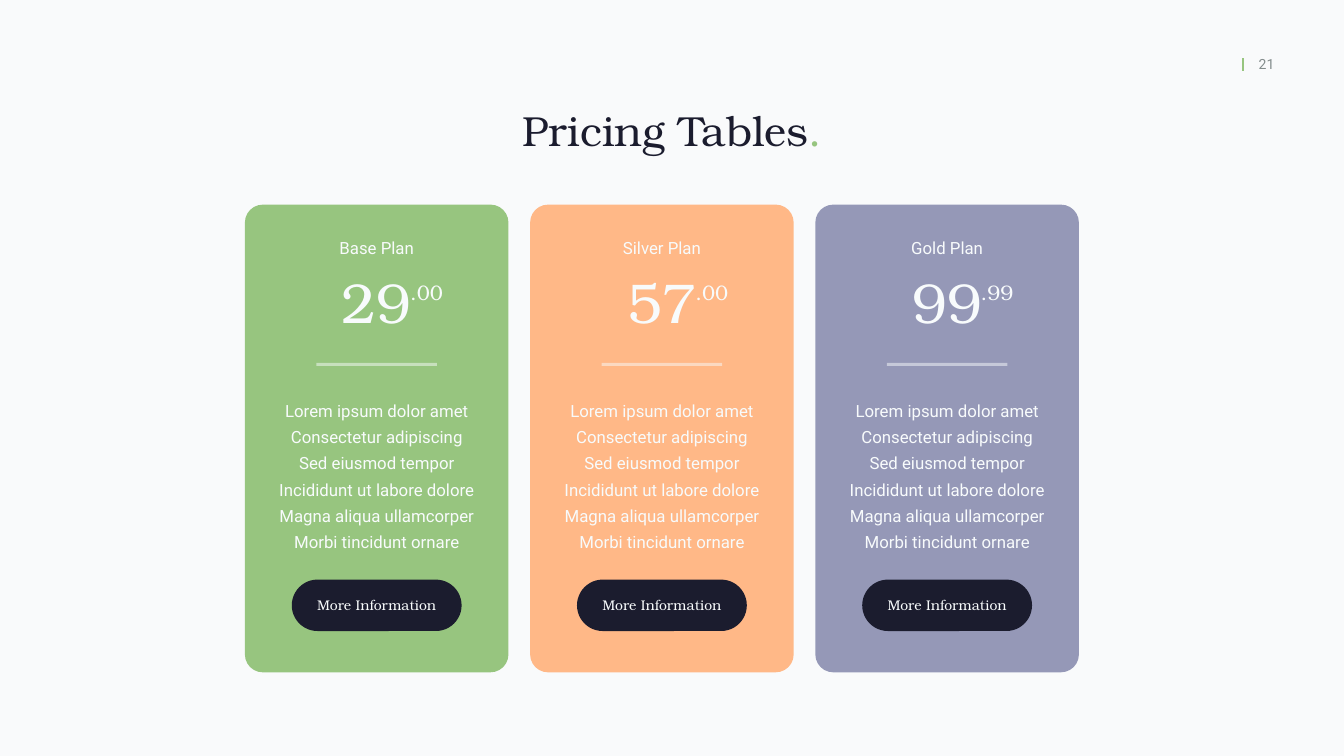
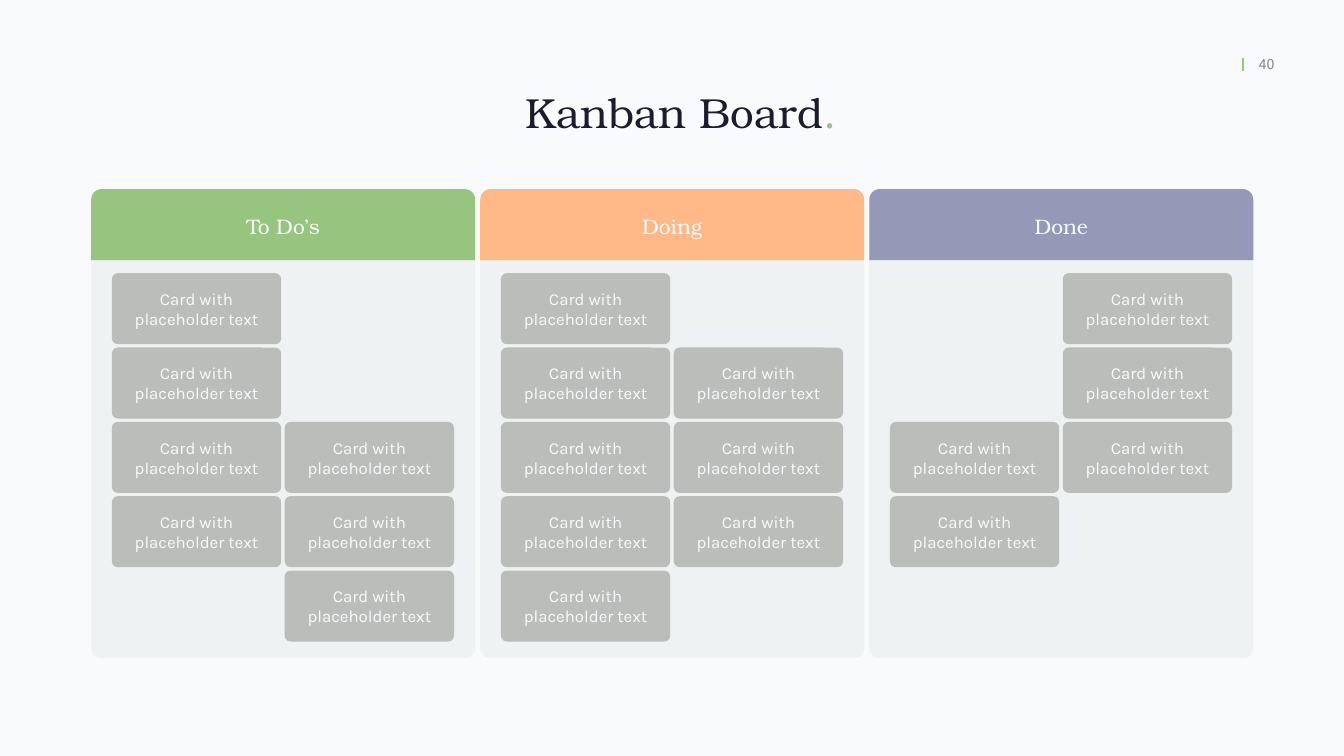
from lxml import etree
from pptx import Presentation
from pptx.dml.color import RGBColor
from pptx.enum.shapes import MSO_CONNECTOR as Connector, MSO_SHAPE as Shape
from pptx.enum.text import MSO_ANCHOR as Anchor, PP_ALIGN as Align
from pptx.oxml.ns import qn
from pptx.util import Inches, Pt

# Shared colours and fonts
PAPER = RGBColor(0xF9, 0xFA, 0xFB)
WHITE = RGBColor(0xF8, 0xFB, 0xFC)
NAVY = RGBColor(0x1B, 0x1C, 0x2E)
GREEN = RGBColor(0x97, 0xC5, 0x7F)
ORANGE = RGBColor(0xFF, 0xB8, 0x87)
VIOLET = RGBColor(0x95, 0x98, 0xB7)
PANEL = RGBColor(0xEE, 0xF2, 0xF3)
CARD = RGBColor(0xBA, 0xBD, 0xBA)
NUMBER_GREY = RGBColor(0x83, 0x8C, 0x8C)
SERIF, SANS, CARD_FONT = "TeX Gyre Bonum", "Roboto", "Karla"
INSET = 0.06

# Content
PLANS = [
    ("Base Plan", "29", ".00", GREEN),
    ("Silver Plan", "57", ".00", ORANGE),
    ("Gold Plan", "99", ".99", VIOLET),
]
FEATURES = [
    "Lorem ipsum dolor amet",
    "Consectetur adipiscing",
    "Sed eiusmod tempor",
    "Incididunt ut labore dolore",
    "Magna aliqua ullamcorper",
    "Morbi tincidunt ornare",
]
BUTTON_TEXT = "More Information"

# Each string is one row of a column; X marks a card
BOARD = [
    ("To Do’s", GREEN, ["X.", "X.", "XX", "XX", ".X"]),
    ("Doing", ORANGE, ["X.", "XX", "XX", "XX", "X."]),
    ("Done", VIOLET, [".X", ".X", "XX", "X."]),
]
CARD_TEXT = "Card with placeholder text"

# Layout in inches
PLAN_LEFT, PLAN_TOP, PLAN_WIDTH, PLAN_HEIGHT, PLAN_PITCH = 4.86, 4.06, 5.23, 9.28, 5.66
BOARD_LEFT, BOARD_TOP, COLUMN_WIDTH, COLUMN_HEIGHT, COLUMN_PITCH = 1.81, 3.75, 7.62, 9.31, 7.72
CARD_MARGIN, CARD_TOP, CARD_WIDTH, CARD_HEIGHT = 0.41, 5.42, 3.36, 1.41
CARD_PITCH_X, CARD_PITCH_Y = 3.43, 5.9 / 4


def style_font(font, size, name, color):
    font.size, font.name = Pt(size), name
    font.color.rgb = color


def add_text(page, area, lines, size, name, color, align=Align.CENTER,
             spacing=None, inset=INSET, dot=None):
    """Write one paragraph per line; dot is the colour of a closing full stop."""
    frame = page.shapes.add_textbox(*map(Inches, area)).text_frame
    frame.word_wrap = True
    frame.margin_left = frame.margin_right = Inches(inset)
    frame.margin_top = frame.margin_bottom = Inches(INSET)
    frame.text = "\n".join(lines)
    for para in frame.paragraphs:
        para.alignment = align
        if spacing:
            para.line_spacing = spacing
        for span in para.runs:
            style_font(span.font, size, name, color)
    if dot is not None:
        span = frame.paragraphs[-1].add_run()
        span.text = "."
        style_font(span.font, size, name, dot)


def add_block(page, kind, area, corner, fill, text="", size=20, name=SERIF, inset=0.1):
    block = page.shapes.add_shape(kind, *map(Inches, area))
    block.adjustments[0] = corner
    block.shadow.inherit = False
    block.fill.solid()
    block.fill.fore_color.rgb = fill
    block.line.fill.background()
    if text:
        frame = block.text_frame
        frame.text = text
        frame.word_wrap = True
        frame.vertical_anchor = Anchor.MIDDLE
        frame.margin_left = frame.margin_right = Inches(inset)
        frame.paragraphs[0].alignment = Align.CENTER
        style_font(frame.paragraphs[0].runs[0].font, size, name, WHITE)


def add_line(page, start, end, color, width, opacity=None):
    line = page.shapes.add_connector(Connector.STRAIGHT, *map(Inches, start + end))
    line.line.color.rgb = color
    line.line.width = Pt(width)
    properties = line._element.spPr
    etree.SubElement(properties, qn("a:effectLst"))
    if opacity:
        tint = properties.find(".//" + qn("a:srgbClr"))
        etree.SubElement(tint, qn("a:alpha")).set("val", str(opacity * 1000))


def add_page(deck, number, title, title_area):
    """Start a page with background, page number and title."""
    page = deck.slides.add_slide(deck.slide_layouts[6])
    page.background.fill.solid()
    page.background.fill.fore_color.rgb = PAPER
    add_line(page, (24.67, 1.4), (24.67, 1.15), GREEN, 3)
    add_text(page, (24.5, 1.05, 1.27, 0.44), [str(number)], 20, SANS, NUMBER_GREY, inset=0.1)
    add_text(page, title_area, [title], 60, SERIF, NAVY, dot=GREEN)
    return page


def add_plan(page, left, plan, whole, cents, color):
    def centred(top, width, height):
        return left + (PLAN_WIDTH - width) / 2, top, width, height

    add_block(page, Shape.ROUNDED_RECTANGLE, (left, PLAN_TOP, PLAN_WIDTH, PLAN_HEIGHT),
              0.068, color)
    add_text(page, centred(5.24, 2.37, 1.46), [whole], 80, SERIF, WHITE)
    add_text(page, centred(4.65, 2.25, 0.52), [plan], 24, SANS, WHITE)
    add_text(page, (left + 3.22, 5.49, 0.89, 0.62), [cents], 30, SERIF, WHITE, align=Align.LEFT)
    add_line(page, (left + 1.42, 7.23), (left + 3.81, 7.23), WHITE, 4, opacity=50)
    add_text(page, centred(7.77, 4.88, 3.22), FEATURES, 24, SANS, WHITE, spacing=1.3)
    add_block(page, Shape.ROUNDED_RECTANGLE, centred(11.5, 3.37, 1.02), 0.5, NAVY, BUTTON_TEXT)


def add_column(page, left, heading, color, rows):
    add_block(page, Shape.ROUNDED_RECTANGLE, (left, BOARD_TOP, COLUMN_WIDTH, COLUMN_HEIGHT),
              0.027, PANEL)
    add_block(page, Shape.ROUND_2_SAME_RECTANGLE, (left, BOARD_TOP, COLUMN_WIDTH, CARD_HEIGHT),
              0.15, color, heading, 30)
    for row, marks in enumerate(rows):
        for side, mark in enumerate(marks):
            if mark == "X":
                area = (left + CARD_MARGIN + side * CARD_PITCH_X,
                        CARD_TOP + row * CARD_PITCH_Y, CARD_WIDTH, CARD_HEIGHT)
                add_block(page, Shape.ROUNDED_RECTANGLE, area, 0.084, CARD,
                          CARD_TEXT, 24, CARD_FONT, inset=0.3)


def main():
    deck = Presentation()
    deck.slide_width, deck.slide_height = Inches(26.67), Inches(15)

    # Pricing
    page = add_page(deck, 21, "Pricing Tables", (8.73, 2.02, 9.21, 1.12))
    for index, plan in enumerate(PLANS):
        add_plan(page, PLAN_LEFT + index * PLAN_PITCH, *plan)

    # Kanban
    page = add_page(deck, 40, "Kanban Board", (8.17, 1.66, 10.68, 1.12))
    for index, column in enumerate(BOARD):
        add_column(page, BOARD_LEFT + index * COLUMN_PITCH, *column)

    deck.save("out.pptx")


if __name__ == "__main__":
    main()
